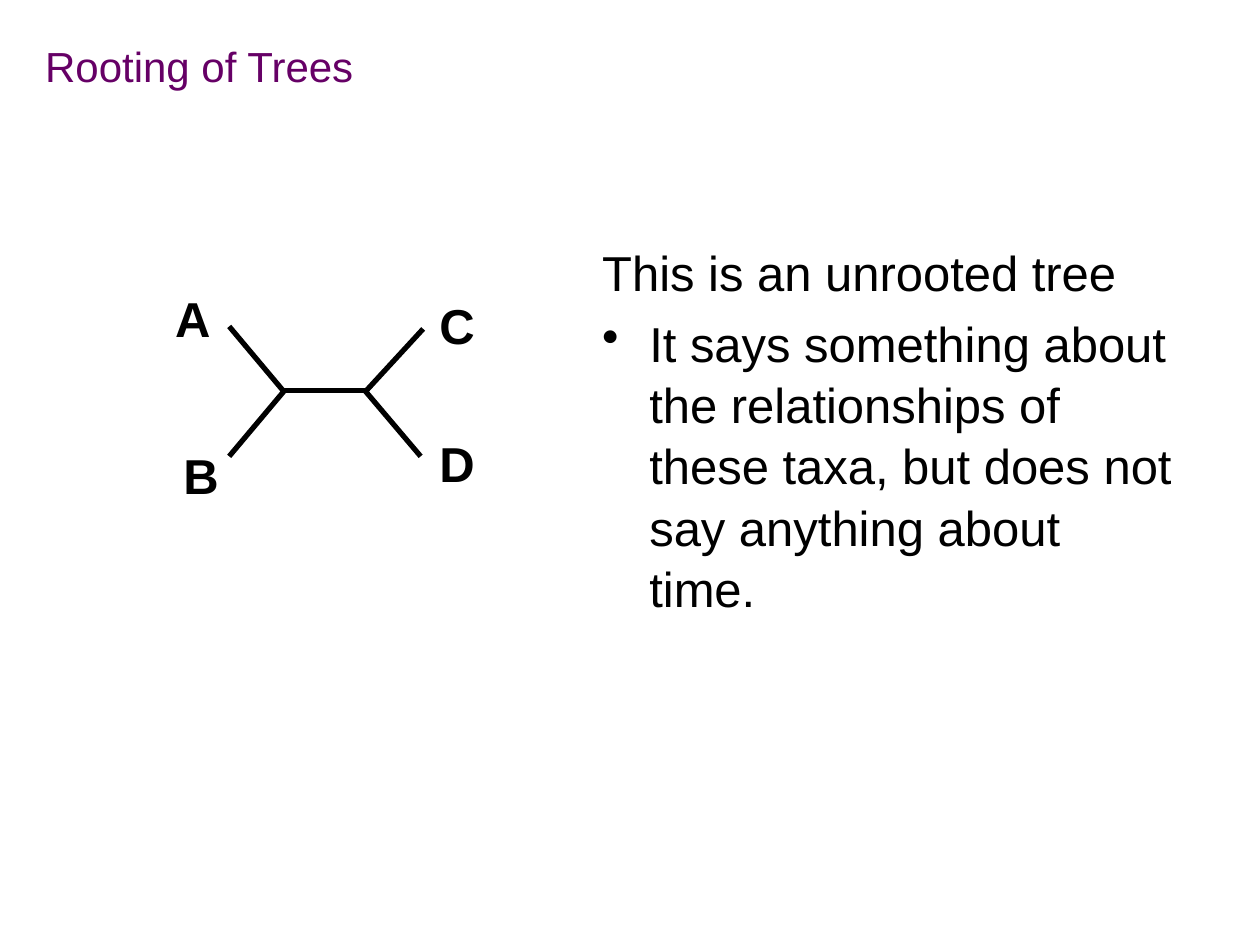
"""Build a slide that explains an unrooted tree of four taxa."""
from lxml import etree
from pptx import Presentation
from pptx.dml.color import RGBColor
from pptx.enum.shapes import MSO_CONNECTOR
from pptx.oxml.ns import qn
from pptx.util import Cm, Pt

STRAIGHT = MSO_CONNECTOR.STRAIGHT
BLACK = RGBColor(0, 0, 0)
PURPLE = RGBColor(0x66, 0, 0x66)
HANG = 0.95

TITLE = "Rooting of Trees"
BODY = [
    ("This is an unrooted tree", False),
    ("It says something about the relationships of these taxa, "
     "but does not say anything about time.", True),
]
LEFT, RIGHT = (5.72, 7.89), (7.37, 7.89)
EDGES = [
    ((5.72, 7.87), (7.37, 7.87)),
    (RIGHT, (8.53, 6.63)),
    ((4.62, 6.58), LEFT),
    (RIGHT, (8.48, 9.2)),
    ((4.62, 9.2), LEFT),
]
TAXA = [
    ("A", 3.28, 5.69, 0.56),
    ("B", 3.45, 8.86, 0.69),
    ("C", 8.61, 5.84, 0.69),
    ("D", 8.61, 8.61, 0.69),
]


def add_text(slide, lines, box, size=28, color=BLACK, bold=False,
             wrap=True, hang=0, spacing=None):
    frame = slide.shapes.add_textbox(*map(Cm, box)).text_frame
    frame.word_wrap = wrap
    for i, (text, dot) in enumerate(lines):
        para = frame.paragraphs[0] if i == 0 else frame.add_paragraph()
        para.text = text
        if hang:
            props = para._p.get_or_add_pPr()
            props.set("marL", str(Cm(hang)))
            props.set("indent", str(-Cm(hang)))
            if dot:
                etree.SubElement(props, qn("a:buChar")).set("char", "•")
        if i:
            para.space_before = Pt(size * 0.2)
        if spacing:
            para.line_spacing = spacing
        font = para.runs[0].font
        font.name, font.size, font.bold = "Arial", Pt(size), bold
        font.color.rgb = color


def add_edge(slide, start, end):
    edge = slide.shapes.add_connector(STRAIGHT, *map(Cm, start + end))
    edge.line.color.rgb = BLACK
    edge.line.width = Pt(3)
    etree.SubElement(edge._element.spPr, qn("a:effectLst"))


def main():
    deck = Presentation()
    deck.slide_width, deck.slide_height = Cm(25.4), Cm(19.05)
    slide = deck.slides.add_slide(deck.slide_layouts[6])
    add_text(slide, BODY, (11.89, 4.72, 12.01, 11.43), hang=HANG, spacing=1.04)
    for start, end in EDGES:
        add_edge(slide, start, end)
    for name, left, top, width in TAXA:
        add_text(slide, [(name, False)], (left, top, width, 1.02),
                 bold=True, hang=HANG)
    add_text(slide, [(TITLE, False)], (0.66, 0.69, 6.78, 1.27),
             size=24, color=PURPLE, wrap=False)
    deck.save("out.pptx")


if __name__ == "__main__":
    main()
